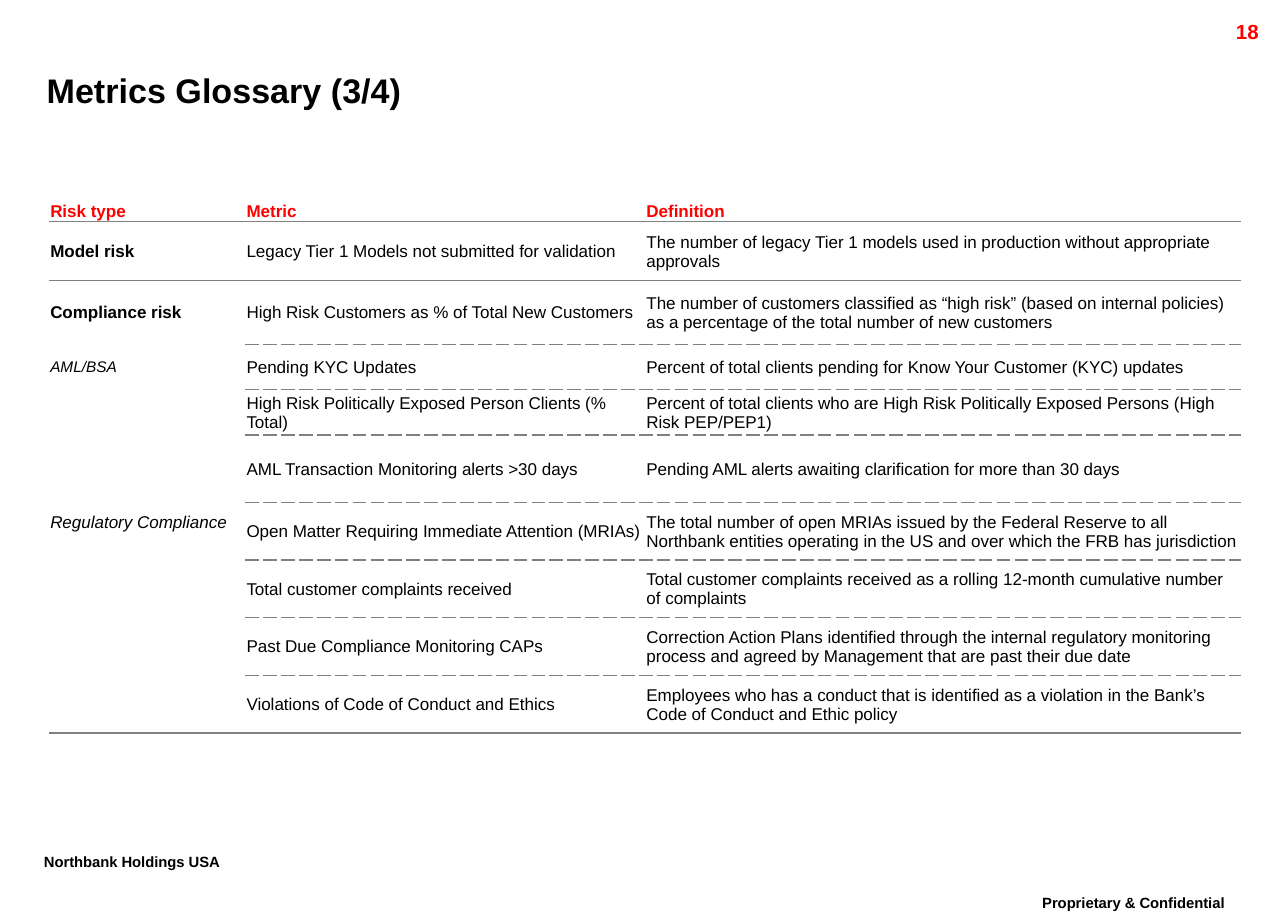
from dataclasses import dataclass

from lxml.etree import SubElement
from pptx import Presentation
from pptx.dml.color import RGBColor
from pptx.enum.text import MSO_ANCHOR, PP_ALIGN
from pptx.oxml.ns import qn
from pptx.util import Inches, Pt


@dataclass(frozen=True)
class Theme:
    font: str = "Arial"
    ink: str = "000000"
    accent: str = "FF0000"
    rule: str = "808080"
    title: int = 20
    number: int = 12
    body: int = 10
    small: int = 9
    footer: int = 15


THEME = Theme()

COLUMN_WIDTHS = [1.6, 3.26, 4.86]
ROW_HEIGHTS = [0.16, 0.48, 0.52, 0.37, 0.37, 0.55] + [0.47] * 4
SOLID_BELOW = (0, 1, len(ROW_HEIGHTS) - 1)
GLOSSARY = [
    ("Risk type", "Metric", "Definition"),
    ("Model risk", "Legacy Tier 1 Models not submitted for validation",
     "The number of legacy Tier 1 models used in production without appropriate approvals"),
    ("Compliance risk", "High Risk Customers as % of Total New Customers",
     "The number of customers classified as “high risk” (based on internal policies) "
     "as a percentage of the total number of new customers"),
    ("AML/BSA", "Pending KYC Updates",
     "Percent of total clients pending for Know Your Customer (KYC) updates"),
    ("", "High Risk Politically Exposed Person Clients (% Total)",
     "Percent of total clients who are High Risk Politically Exposed Persons "
     "(High Risk PEP/PEP1)"),
    ("", "AML Transaction Monitoring alerts >30 days",
     "Pending AML alerts awaiting clarification for more than 30 days"),
    ("Regulatory Compliance", "Open Matter Requiring Immediate Attention (MRIAs)",
     "The total number of open MRIAs issued by the Federal Reserve to all Northbank "
     "entities operating in the US and over which the FRB has jurisdiction"),
    ("", "Total customer complaints received",
     "Total customer complaints received as a rolling 12-month cumulative number of complaints"),
    ("", "Past Due Compliance Monitoring CAPs",
     "Correction Action Plans identified through the internal regulatory monitoring "
     "process and agreed by Management that are past their due date"),
    ("", "Violations of Code of Conduct and Ethics",
     "Employees who has a conduct that is identified as a violation in the Bank’s "
     "Code of Conduct and Ethic policy"),
]
RISK_STYLES = {
    "Model risk": {"bold": True},
    "Compliance risk": {"bold": True},
    "AML/BSA": {"italic": True, "size": THEME.small},
    "Regulatory Compliance": {"italic": True},
}


def write(frame, text, size=THEME.body, color=THEME.ink, bold=False, italic=False,
          align=PP_ALIGN.LEFT, spacing=None, raised=False):
    para = frame.paragraphs[0]
    para.alignment = align
    if spacing:
        para.line_spacing = spacing
    span = para.add_run()
    span.text = text
    span.font.name = THEME.font
    span.font.size = Pt(size)
    span.font.bold = bold
    span.font.italic = italic
    span.font.color.rgb = RGBColor.from_string(color)
    if raised:
        span.font._element.set("baseline", "30000")


def add_text(page, text, left, top, width, height, wrap=True, inset=None,
             anchor=MSO_ANCHOR.TOP, **style):
    box = page.shapes.add_textbox(Inches(left), Inches(top), Inches(width), Inches(height))
    frame = box.text_frame
    frame.word_wrap = wrap
    frame.vertical_anchor = anchor
    if inset is not None:
        frame.margin_left = frame.margin_right = Inches(inset)
        frame.margin_top = frame.margin_bottom = Inches(inset)
    write(frame, text, **style)


def dash_below(row, column):
    """Dash name of the rule under a cell, or None where there is no rule."""
    if row in SOLID_BELOW:
        return "solid"
    return "sysDash" if row > 0 and column > 0 else None


def add_border(cell, side, dash):
    line = SubElement(cell._tc.get_or_add_tcPr(), qn(f"a:ln{side}"), w=str(Pt(1)))
    if dash is None:
        SubElement(line, qn("a:noFill"))
        return
    fill = SubElement(line, qn("a:solidFill"))
    SubElement(fill, qn("a:srgbClr"), val=THEME.rule)
    SubElement(line, qn("a:prstDash"), val=dash)


def format_cell(cell, row, column):
    cell.margin_left = cell.margin_right = cell.margin_top = Inches(0.01)
    cell.margin_bottom = 0
    cell.vertical_anchor = MSO_ANCHOR.MIDDLE
    borders = {"L": None, "R": None,
               "T": dash_below(row - 1, column) if row else None,
               "B": dash_below(row, column)}
    for side, dash in borders.items():
        add_border(cell, side, dash)
    cell.fill.background()


def add_glossary(page):
    table = page.shapes.add_table(
        len(GLOSSARY), len(COLUMN_WIDTHS), Inches(0.4), Inches(1.63),
        Inches(sum(COLUMN_WIDTHS)), Inches(sum(ROW_HEIGHTS))).table
    table.first_row = table.horz_banding = False
    for column, width in zip(table.columns, COLUMN_WIDTHS):
        column.width = Inches(width)
    for row, height in zip(table.rows, ROW_HEIGHTS):
        row.height = Inches(height)
    for row, texts in enumerate(GLOSSARY):
        for column, text in enumerate(texts):
            cell = table.cell(row, column)
            format_cell(cell, row, column)
            style = RISK_STYLES.get(text, {})
            if row == 0:
                style = {"bold": True, "color": THEME.accent}
            if text:
                write(cell.text_frame, text, **style)
            if text == "Regulatory Compliance":
                cell.margin_bottom = Inches(0.15)


def main():
    deck = Presentation()
    deck.slide_width, deck.slide_height = Inches(10.5), Inches(7.5)
    page = deck.slides.add_slide(deck.slide_layouts[6])

    # Footers and page number
    footer = {"size": THEME.footer, "bold": True, "spacing": 0.86, "raised": True}
    add_text(page, "Proprietary & Confidential", 8.15, 7.25, 2.18, 0.35,
             align=PP_ALIGN.CENTER, **footer)
    add_text(page, "Northbank Holdings USA", 0.26, 6.91, 1.91, 0.35, wrap=False, **footer)
    add_text(page, "18", 9.36, 0.11, 1, 0.24, size=THEME.number, color=THEME.accent,
             bold=True, align=PP_ALIGN.RIGHT)

    # Title
    add_text(page, "Metrics Glossary (3/4)", 0.38, 0.49, 9.48, 0.48, inset=0,
             anchor=MSO_ANCHOR.MIDDLE, size=THEME.title, bold=True)

    # Glossary table
    add_glossary(page)

    deck.save("out.pptx")


if __name__ == "__main__":
    main()
